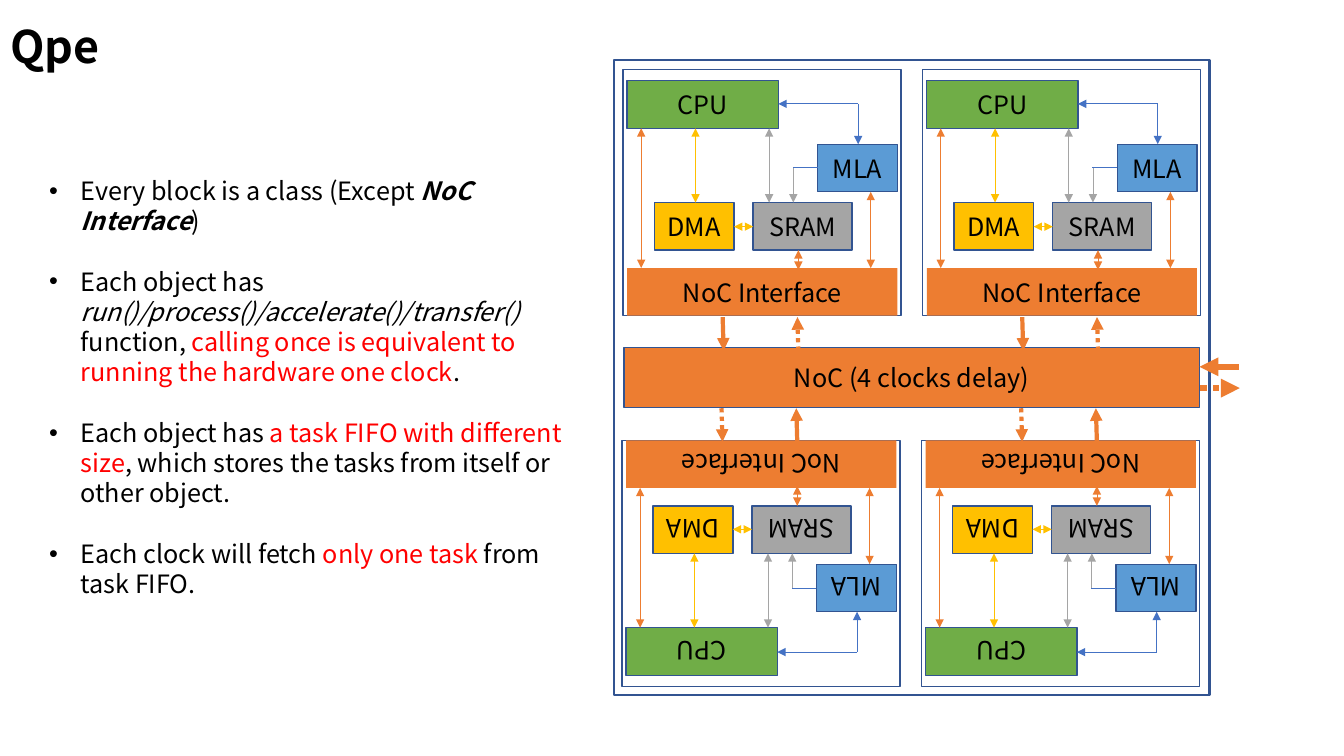
from lxml import etree
from pptx import Presentation
from pptx.dml.color import RGBColor
from pptx.enum.dml import MSO_LINE
from pptx.enum.shapes import MSO_CONNECTOR, MSO_SHAPE
from pptx.enum.text import MSO_ANCHOR, MSO_AUTO_SIZE, PP_ALIGN
from pptx.oxml.ns import qn
from pptx.util import Pt

RECT, STRAIGHT = MSO_SHAPE.RECTANGLE, MSO_CONNECTOR.STRAIGHT
DOTS = MSO_LINE.ROUND_DOT
TOP, MIDDLE = MSO_ANCHOR.TOP, MSO_ANCHOR.MIDDLE
LEFT, CENTER = PP_ALIGN.LEFT, PP_ALIGN.CENTER
FIXED = MSO_AUTO_SIZE.NONE
FONT = "Noto Sans CJK SC"
HEX = {"navy": "325491", "orange": "ED7D31", "green": "70AD47",
       "sky": "5B9BD5", "gray": "A5A5A5", "gold": "FFC000",
       "blue": "4472C4", "red": "FF0000", "black": "000000"}
RGB = {name: RGBColor.from_string(code) for name, code in HEX.items()}

deck = Presentation()
deck.slide_width, deck.slide_height = Pt(960), Pt(540)
slide = deck.slides.add_slide(deck.slide_layouts[5])
shapes = slide.shapes


def block(box, text="", fill=None, edge=1, turn=0):
    """Draw a rectangle; edge is the outline width, turn the rotation."""
    shape = shapes.add_shape(RECT, *map(Pt, box))
    shape.shadow.inherit = False
    shape.rotation = turn
    if fill:
        shape.fill.solid()
        shape.fill.fore_color.rgb = RGB[fill]
    else:
        shape.fill.background()
    if edge:
        shape.line.color.rgb = RGB["navy"]
        shape.line.width = Pt(edge)
    else:
        shape.line.fill.background()
    if text:
        frame = shape.text_frame
        frame.vertical_anchor = MIDDLE
        para = frame.paragraphs[0]
        para.alignment = CENTER
        run = para.add_run()
        run.text = text
        run.font.name, run.font.size = FONT, Pt(18)
        run.font.color.rgb = RGB["black"]


def link(ends, color, arrows=(), width=0.5, dash=None):
    """Draw a line; arrows names the ends that carry a triangle."""
    line = shapes.add_connector(STRAIGHT, *map(Pt, ends))
    line.line.color.rgb = RGB[color]
    line.line.width = Pt(width)
    if dash:
        line.line.dash_style = dash
    props = line._element.spPr
    for end in arrows:
        etree.SubElement(props.find(qn("a:ln")), qn("a:" + end), type="triangle")
    etree.SubElement(props, qn("a:effectLst"))


HEAD, TAIL = ("headEnd",), ("tailEnd",)
BOTH = HEAD + TAIL

# Title
title = shapes.title
title.left, title.top, title.width, title.height = map(Pt, (0, 9.4, 193, 46))
frame = title.text_frame
for key, value in {"vertical_anchor": TOP, "auto_size": FIXED,
                   "word_wrap": True}.items():
    setattr(frame, key, value)
para = frame.paragraphs[0]
para.alignment = LEFT
run = para.add_run()
run.text = "Qpe"
for key, value in {"name": FONT, "size": Pt(32), "bold": True}.items():
    setattr(run.font, key, value)
run.font.color.rgb = RGB["black"]

# Bullets: each run is a text with its marks (b bold, i italic, r red)
bullets = [
    [("Every block is a class (Except ", ""), ("NoC Interface", "bi"), (")", "")],
    [("Each object has ", ""), ("run()/process()/accelerate()/transfer()", "i"),
     (" function, ", ""),
     ("calling once is equivalent to running the hardware one clock", "r"),
     (".", "")],
    [("Each object has ", ""), ("a task FIFO with different size", "r"),
     (", which stores the tasks from itself or other object.", "")],
    [("Each clock will fetch ", ""), ("only one task ", "r"),
     ("from task FIFO.", "")],
]
frame = shapes.add_textbox(*map(Pt, (28, 121.7, 389, 291))).text_frame
frame.word_wrap = True
for index, runs in enumerate(bullets):
    para = frame.add_paragraph() if index else frame.paragraphs[0]
    para.space_before = Pt(21.6 if index else 0)
    props = para._p.get_or_add_pPr()
    props.set("marL", str(Pt(22.5)))
    props.set("indent", str(-Pt(22.5)))
    etree.SubElement(props, qn("a:buFont"), typeface="Arial")
    etree.SubElement(props, qn("a:buChar"), char="•")
    for text, marks in runs:
        run = para.add_run()
        run.text = text
        for key, value in {"name": FONT, "size": Pt(18), "bold": "b" in marks,
                           "italic": "i" in marks}.items():
            setattr(run.font, key, value)
        run.font.color.rgb = RGB["red" if "r" in marks else "black"]

# Chip frame, central NoC and its outside ports
block((438.5, 43.2, 425.5, 453.6), edge=1.5)
block((445.7, 248.4, 411, 42.5), "NoC (4 clocks delay)", "orange")
link((885, 262, 856.8, 262), "orange", TAIL, 4.5)
link((857.5, 277.2, 885.6, 277.2), "orange", TAIL, 4.5, DOTS)

# One core, measured from its top left corner
WIDE, TALL, HIGH = 198.7, 175.7, 34
parts = [("CPU", "green", 3, 8, 108, 1), ("MLA", "sky", 139, 53.3, 57, 1),
         ("SRAM", "gray", 93, 95, 70.6, 1),
         ("NoC Interface", "orange", 3, 141.8, 193, 0),
         ("DMA", "gold", 22.3, 95, 57, 1)]
wires = [((125.3, 129, 125.3, 143), "orange", BOTH),
         ((177, 87.3, 177, 141.8), "orange", BOTH),
         ((13, 42, 13, 141.8), "orange", BOTH),
         ((168, 53.3, 168, 24.5), "blue", HEAD),
         ((168, 24.5, 111, 24.5), "blue", TAIL),
         ((104.4, 42, 104.4, 95), "gray", BOTH),
         ((121.7, 70, 121.7, 95), "gray", TAIL),
         ((139, 70, 121.2, 70), "blue", ()),
         ((51.8, 42, 51.8, 95), "gold", BOTH),
         ((79.3, 112.2, 93, 112.2), "gold", BOTH)]

# Four cores: the lower pair is mirrored top to bottom
for top, port, shift, flip in ((49.7, 226.5, 0, False), (314.6, 291.6, -0.8, True)):
    turn = 180 if flip else 0
    for column in range(2):
        left = 445 + shift + 214 * column
        block((left, top, WIDE, TALL), turn=turn)
        for text, fill, x, y, width, edge in parts:
            y = TALL - y - HIGH if flip else y
            block((left + x, top + y, width, HIGH), text, fill, edge, turn)
        for (x1, y1, x2, y2), color, arrows in wires:
            if flip:
                y1, y2 = TALL - y1, TALL - y2
            link((left + x1, top + y1, left + x2, top + y2), color, arrows)
        link((left + 71.2, port, left + 71.9, port + 24), "orange", TAIL, 3,
             DOTS if flip else None)
        link((left + 125.3, port + 24, left + 124.6, port), "orange", TAIL, 3,
             None if flip else DOTS)

deck.save("out.pptx")
